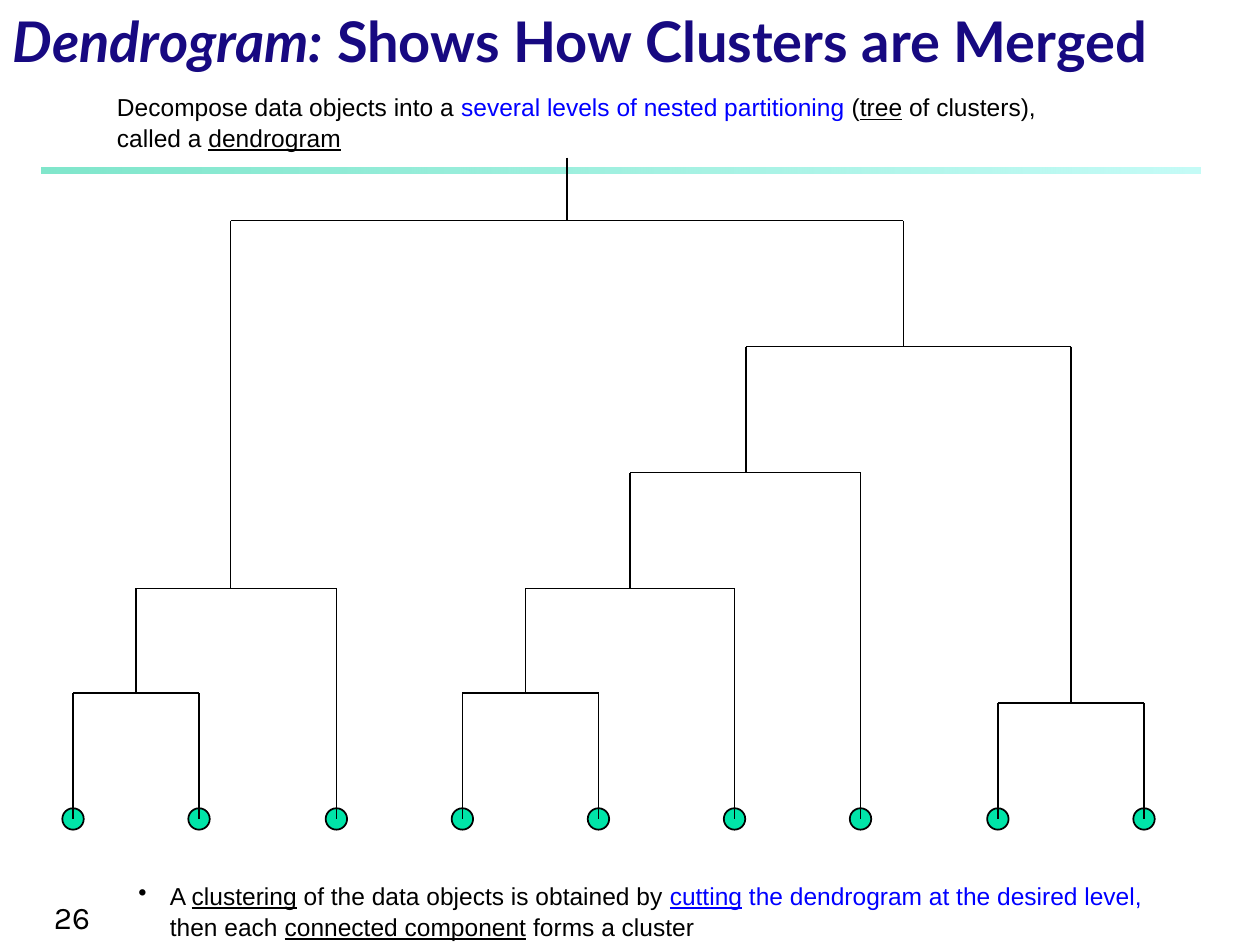
from lxml import etree
from pptx import Presentation
from pptx import util as u
from pptx.dml import color
from pptx.enum import shapes, text
from pptx.oxml import ns

Inches, Pt = u.Inches, u.Pt
HUES = {"ink": "000000", "navy": "170981", "blue": "0000FF", "leaf": "00E4A8",
        "deep": "00CE98", "pale": "8FF9EF"}
DOT = 0.17
BASE = 6.5
# A leaf is its x; a merge is (stem x, bar y, left child, right child)
TREE = (4.5, 1.75,
        (1.83, 4.67, (1.08, 5.5, 0.58, 1.58), 2.67),
        (7.17, 2.75,
         (5.92, 3.75,
          (5, 4.67, (4.17, 5.5, 3.67, 4.75), 5.83),
          6.83),
         (8.5, 5.58, 7.92, 9.08)))


def rgb(name):
    return color.RGBColor.from_string(HUES[name])


def place(shape, box):
    shape.left, shape.top, shape.width, shape.height = map(Inches, box)


def write(par, parts, font, size):
    """Add runs of (text, colour, underlined)."""
    for words, hue, under in parts:
        run = par.add_run()
        run.text = words
        run.font.name, run.font.size = font, Pt(size)
        run.font.color.rgb = rgb(hue)
        if under:
            run.font.underline = True


def add_title(slide, box):
    title = slide.shapes.title
    place(title, box)
    frame = title.text_frame
    frame.vertical_anchor = text.MSO_ANCHOR.MIDDLE
    frame.auto_size = text.MSO_AUTO_SIZE.NONE
    par = frame.paragraphs[0]
    par.alignment = text.PP_ALIGN.LEFT
    write(par, [("Dendrogram:", "navy", False),
                (" Shows How Clusters are Merged", "navy", False)], "Lato", 32)
    for run, slant in zip(par.runs, (True, False)):
        run.font.bold, run.font.italic = True, slant


def add_text(slide, box, parts, font="Arial", size=14, indent=0, bullet=False):
    frame = slide.shapes.add_textbox(*map(Inches, box)).text_frame
    frame.word_wrap = True
    par = frame.paragraphs[0]
    write(par, parts, font, size)
    if indent:
        par.line_spacing = 1.05
        props = par._p.get_or_add_pPr()
        props.set("marL", str(Inches(indent)))
        props.set("indent", str(Inches(-0.25 if bullet else 0)))
        if bullet:
            etree.SubElement(props, ns.qn("a:buChar")).set("char", "•")


def add_rule(slide, box):
    bar = slide.shapes.add_shape(shapes.MSO_SHAPE.RECTANGLE, *map(Inches, box))
    bar.shadow.inherit = False
    bar.line.fill.background()
    bar.fill.gradient()
    bar.fill.gradient_angle = 0
    for stop, hue, place_at in zip(bar.fill.gradient_stops, ("deep", "pale"), (0, 1)):
        stop.color.rgb = rgb(hue)
        stop.position = place_at
    tints = bar.element.spPr.iter(ns.qn("a:srgbClr"))
    for tint, alpha in zip(list(tints), (50000, 52000)):
        etree.SubElement(tint, ns.qn("a:alpha")).set("val", str(alpha))


def add_line(slide, x1, y1, x2, y2):
    line = slide.shapes.add_connector(shapes.MSO_CONNECTOR.STRAIGHT,
                                      *map(Inches, (x1, y1, x2, y2)))
    line.line.color.rgb = rgb("ink")
    line.line.width = Pt(1)
    etree.SubElement(line.element.spPr, ns.qn("a:effectLst"))


def add_leaves(slide, node):
    if isinstance(node, tuple):
        for child in node[2:]:
            add_leaves(slide, child)
        return
    box = (node - DOT / 2, BASE - DOT / 2, DOT, DOT)
    dot = slide.shapes.add_shape(shapes.MSO_SHAPE.OVAL, *map(Inches, box))
    dot.shadow.inherit = False
    dot.fill.solid()
    dot.fill.fore_color.rgb = rgb("leaf")
    dot.line.color.rgb = rgb("ink")
    dot.line.width = Pt(1)


def add_branch(slide, node, top):
    """Draw the stem from the bar above, then the bar and both children."""
    if not isinstance(node, tuple):
        add_line(slide, node, top, node, BASE)
        return
    x, y, left, right = node
    add_line(slide, x, top, x, y)
    ends = [kid[0] if isinstance(kid, tuple) else kid for kid in (left, right)]
    add_line(slide, ends[0], y, ends[1], y)
    add_branch(slide, left, y)
    add_branch(slide, right, y)


def main():
    deck = Presentation()
    deck.slide_width, deck.slide_height = Inches(10), Inches(7.5)
    slide = deck.slides.add_slide(deck.slide_layouts[5])

    # Heading and introduction
    add_rule(slide, (0.33, 1.33, 9.2, 0.05))
    add_title(slide, (0, 0, 10.17, 0.63))
    add_text(slide, (0.33, 0.67, 8.25, 0.57), [
        ("Decompose data objects into a ", "ink", False),
        ("several levels of nested partitioning ", "blue", False),
        ("(", "ink", False), ("tree", "ink", True),
        (" of clusters), called a ", "ink", False),
        ("dendrogram", "ink", True)], indent=0.5)

    # Dendrogram
    add_leaves(slide, TREE)
    add_branch(slide, TREE, 1.25)

    # Conclusion and page number
    add_text(slide, (0.75, 6.93, 8.5, 0.57), [
        ("A ", "ink", False), ("clustering", "ink", True),
        (" of the data objects is obtained by ", "ink", False),
        ("cutting", "blue", True),
        (" the dendrogram at the desired level, ", "blue", False),
        ("then each ", "ink", False), ("connected component", "ink", True),
        (" forms a cluster", "ink", False)], indent=0.5, bullet=True)
    add_text(slide, (0.33, 7.08, 2.08, 0.42), [("26", "ink", False)], "Karla", 18)

    deck.save("out.pptx")


if __name__ == "__main__":
    main()
